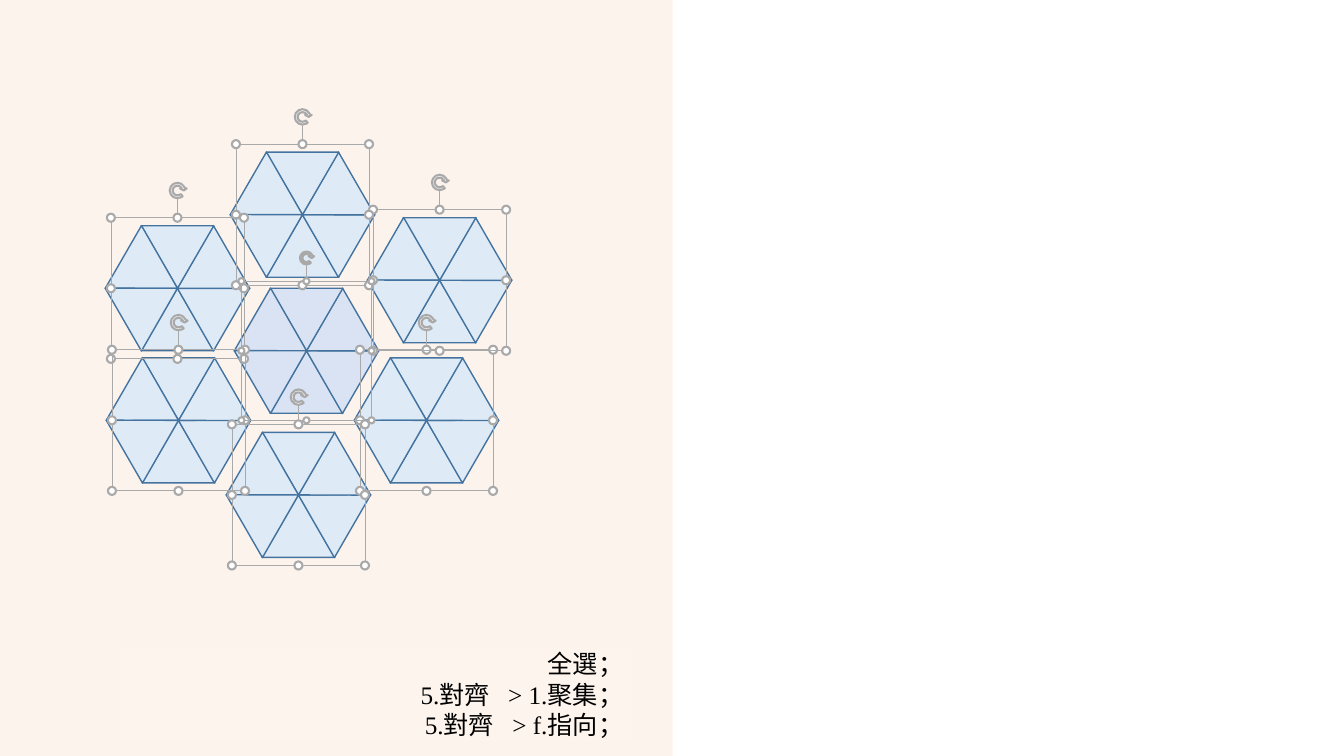
from math import cos, radians, sin

from lxml import etree
from pptx import Presentation
from pptx.dml.color import RGBColor
from pptx.enum import shapes, text
from pptx.oxml.ns import qn
from pptx.util import Inches, Pt

PEACH = RGBColor(0xF4, 0xB1, 0x83)
PALE_PEACH = RGBColor(0xFB, 0xE5, 0xD6)
CAPTION_FILL = RGBColor(0xFD, 0xF4, 0xED)
CENTRE_BLUE = RGBColor(0xDA, 0xE3, 0xF3)
OUTER_BLUE = RGBColor(0xDE, 0xEB, 0xF7)
EDGE_BLUE = RGBColor(0x43, 0x73, 0x9E)
HANDLE_GREY = RGBColor(0xA9, 0xA9, 0xA9)
WHITE = RGBColor(0xFF, 0xFF, 0xFF)
BLACK = RGBColor(0, 0, 0)

KIND = shapes.MSO_SHAPE
TRIANGLE_WIDTH, TRIANGLE_HEIGHT = 0.72, 0.62
CENTRE = (3.04, 3.48)
OUTER_CENTRES = [(4.23, 4.17), (4.36, 2.78), (3.0, 2.13),
                 (1.76, 2.86), (1.77, 4.17), (2.96, 4.91)]
HANDLE_SPOTS = [(-1, -1), (1, -1), (-1, 1), (1, 1),
                (0, -1), (0, 1), (-1, 0), (1, 0)]
ROTATE_ARROW = (0.151, 11.194, 204.552, 28.68, 0.173)
CAPTION = [["全選；"], ["5.對齊", "> 1.聚集；"], ["5.對齊", "> f.指向；"]]
GAP_SPACING = 900  # hundredths of a point added after the gap's space


def set_alpha(color_format_fill, percent):
    """Make the solid colour under a fill or line element partly opaque."""
    color = next(color_format_fill.iter(qn("a:srgbClr")))
    etree.SubElement(color, qn("a:alpha")).set("val", str(percent * 1000))


def add_centred(parent, kind, centre, size, fill=None, line=None, weight=1):
    """Add a preset shape around its centre point."""
    (x, y), (width, height) = centre, size
    shape = parent.shapes.add_shape(kind, Inches(x - width / 2), Inches(y - height / 2),
                                    Inches(width), Inches(height))
    shape.shadow.inherit = False
    if fill is None:
        shape.fill.background()
    else:
        shape.fill.solid()
        shape.fill.fore_color.rgb = fill
    if line is None:
        shape.line.fill.background()
    else:
        shape.line.color.rgb = line
        shape.line.width = Pt(weight)
    return shape


def add_line(parent, start, end, color, weight):
    line = parent.shapes.add_connector(shapes.MSO_CONNECTOR.STRAIGHT,
                                       *map(Inches, (*start, *end)))
    line.line.color.rgb = color
    line.line.width = Pt(weight)
    etree.SubElement(line._element.spPr, qn("a:effectLst"))
    return line


def add_hexagon(slide, centre, fill):
    """Group six triangles whose apexes meet at the centre."""
    hexagon = slide.shapes.add_group_shape()
    x, y = centre
    reach = TRIANGLE_HEIGHT / 2
    for rotation in (0, 300, 240, 180, 120, 60):
        angle = radians(rotation)
        middle = (x - reach * sin(angle), y + reach * cos(angle))
        triangle = add_centred(hexagon, KIND.ISOSCELES_TRIANGLE, middle,
                               (TRIANGLE_WIDTH, TRIANGLE_HEIGHT), fill, EDGE_BLUE)
        triangle.rotation = rotation


def add_selection(slide, centre, size=(1.32, 1.4), handle=0.08, stem=0.19, knob=0.19):
    """Group a selection frame with its eight handles and rotation knob."""
    selection = slide.shapes.add_group_shape()
    x, y = centre
    width, height = size
    add_centred(selection, KIND.RECTANGLE, centre, size, line=HANDLE_GREY, weight=0.5)
    for across, down in HANDLE_SPOTS:
        spot = (x + across * width / 2, y + down * height / 2)
        add_centred(selection, KIND.OVAL, spot, (handle, handle), WHITE, HANDLE_GREY, 1.5)
    stem_foot = y - height / 2 - handle / 2
    stem_top = stem_foot - stem
    add_line(selection, (x, stem_foot), (x, stem_top), HANDLE_GREY, 0.5)
    arrow = add_centred(selection, KIND.CIRCULAR_ARROW, (x, stem_top - 0.04),
                        (knob, knob), WHITE, HANDLE_GREY, 1.5)
    for index, value in enumerate(ROTATE_ARROW):
        arrow.adjustments[index] = value


def add_run(paragraph, words, *, size, font, color, spacing=None):
    run = paragraph.add_run()
    run.text = words
    run.font.size = Pt(size)
    run.font.name = font
    run.font.color.rgb = color
    if spacing:
        run._r.get_or_add_rPr().set("spc", str(spacing))


def add_text(shape, lines, *, align, **style):
    """Write lines of parts, with one widened space between parts."""
    frame = shape.text_frame
    frame.word_wrap = True
    frame.vertical_anchor = text.MSO_ANCHOR.MIDDLE
    for index, parts in enumerate(lines):
        paragraph = frame.add_paragraph() if index else frame.paragraphs[0]
        paragraph.alignment = align
        for position, part in enumerate(parts):
            if position:
                add_run(paragraph, " ", spacing=GAP_SPACING, **style)
            add_run(paragraph, part, **style)


def add_left_panel(slide):
    panel = add_centred(slide, KIND.RECTANGLE, (3.335, 3.75), (6.67, 7.5), PEACH)
    set_alpha(panel._element.spPr, 14)
    edge = add_line(slide, (6.67, 7.5), (6.67, 0), PALE_PEACH, 0.25)
    set_alpha(edge._element.spPr, 50)


def main():
    deck = Presentation()
    deck.slide_width, deck.slide_height = Inches(13.33), Inches(7.5)
    slide = deck.slides.add_slide(deck.slide_layouts[6])

    add_left_panel(slide)
    add_hexagon(slide, CENTRE, CENTRE_BLUE)
    for centre in OUTER_CENTRES:
        add_hexagon(slide, centre, OUTER_BLUE)
    for centre in OUTER_CENTRES:
        add_selection(slide, centre)
    add_selection(slide, CENTRE, size=(1.29, 1.38), handle=0.06, stem=0.16, knob=0.16)

    caption = add_centred(slide, KIND.RECTANGLE, (3.73, 6.885), (5.1, 0.93), CAPTION_FILL)
    add_text(caption, CAPTION, align=text.PP_ALIGN.RIGHT,
             size=18, font="Times New Roman", color=BLACK)
    deck.save("out.pptx")


if __name__ == "__main__":
    main()
